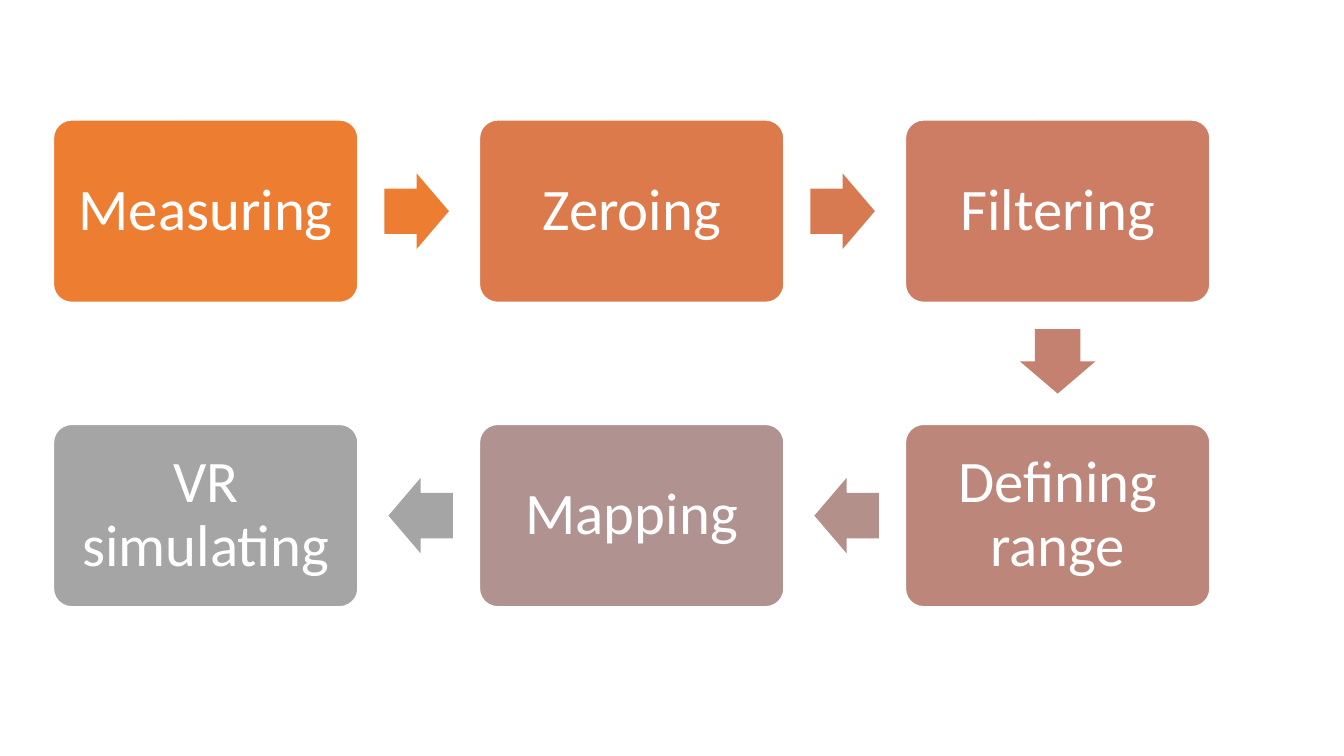
"""Build a slide with a six-step process that snakes across two rows."""
from dataclasses import dataclass
from itertools import pairwise

from pptx import Presentation
from pptx.dml.color import RGBColor
from pptx.enum.shapes import MSO_SHAPE
from pptx.enum.text import MSO_ANCHOR, PP_ALIGN
from pptx.shapes.autoshape import Shape
from pptx.slide import Slide
from pptx.util import Inches, Pt

COLORS = {
    "white": "FFFFFF",
    "orange": "ED7D31",
    "copper": "DC7A4B",
    "copper_arrow": "D87A51",
    "terracotta": "CC7D64",
    "terracotta_arrow": "C48170",
    "clay": "BD867B",
    "clay_arrow": "B4908B",
    "mauve": "B09391",
    "gray": "A5A5A5",
}
FONT = "Calibri"
LEFT, TOP = 0.53, 1.19
BOX_W, BOX_H = 3.02, 1.81
PITCH_X, PITCH_Y = (8.98 - LEFT) / 2, 3.02
ARROW_W, ARROW_H = 0.64, 0.75
ARROW_SETBACK = 0.02
INSET = 0.16


@dataclass(frozen=True)
class Step:
    label: str
    column: int
    row: int
    color: str
    arrow_color: str = ""

    @property
    def center(self) -> tuple[float, float]:
        return (LEFT + self.column * PITCH_X + BOX_W / 2,
                TOP + self.row * PITCH_Y + BOX_H / 2)


STEPS = [
    Step("Measuring", 0, 0, "orange", "orange"),
    Step("Zeroing", 1, 0, "copper", "copper_arrow"),
    Step("Filtering", 2, 0, "terracotta", "terracotta_arrow"),
    Step("Defining range", 2, 1, "clay", "clay_arrow"),
    Step("Mapping", 1, 1, "mauve", "gray"),
    Step("VR simulating", 0, 1, "gray"),
]


def rgb(name: str) -> RGBColor:
    return RGBColor.from_string(COLORS[name])


def add_filled(slide: Slide, kind: MSO_SHAPE, center: tuple[float, float],
               width: float, height: float, color: str) -> Shape:
    x, y = center
    shape = slide.shapes.add_shape(
        kind, Inches(x - width / 2), Inches(y - height / 2), Inches(width), Inches(height))
    shape.shadow.inherit = False
    shape.fill.solid()
    shape.fill.fore_color.rgb = rgb(color)
    shape.line.fill.background()
    return shape


def add_step(slide: Slide, step: Step) -> None:
    box = add_filled(slide, MSO_SHAPE.ROUNDED_RECTANGLE, step.center, BOX_W, BOX_H, step.color)
    box.adjustments[0] = 0.1
    box.line.color.rgb = rgb("white")
    box.line.width = Pt(1)
    frame = box.text_frame
    frame.word_wrap = True
    frame.vertical_anchor = MSO_ANCHOR.MIDDLE
    frame.margin_left = frame.margin_right = Inches(INSET)
    frame.margin_top = frame.margin_bottom = Inches(INSET)
    paragraph = frame.paragraphs[0]
    paragraph.alignment = PP_ALIGN.CENTER
    paragraph.line_spacing = 0.9
    run = paragraph.add_run()
    run.text = step.label
    run.font.name = FONT
    run.font.size = Pt(42)
    run.font.color.rgb = rgb("white")


def add_arrow(slide: Slide, start: Step, end: Step) -> None:
    dx, dy = end.column - start.column, end.row - start.row
    (x1, y1), (x2, y2) = start.center, end.center
    center = ((x1 + x2) / 2 - dx * ARROW_SETBACK, (y1 + y2) / 2 - dy * ARROW_SETBACK)
    arrow = add_filled(slide, MSO_SHAPE.RIGHT_ARROW, center, ARROW_W, ARROW_H, start.arrow_color)
    arrow.adjustments[0] = 0.6
    arrow.adjustments[1] = 0.5
    arrow.rotation = {(1, 0): 0, (0, 1): 90, (-1, 0): 180}[dx, dy]


def main() -> None:
    prs = Presentation()
    prs.slide_width, prs.slide_height = Inches(13.33), Inches(7.5)
    slide = prs.slides.add_slide(prs.slide_layouts.get_by_name("Blank"))
    for step in STEPS:
        add_step(slide, step)
    for start, end in pairwise(STEPS):
        add_arrow(slide, start, end)
    prs.save("out.pptx")


main()
